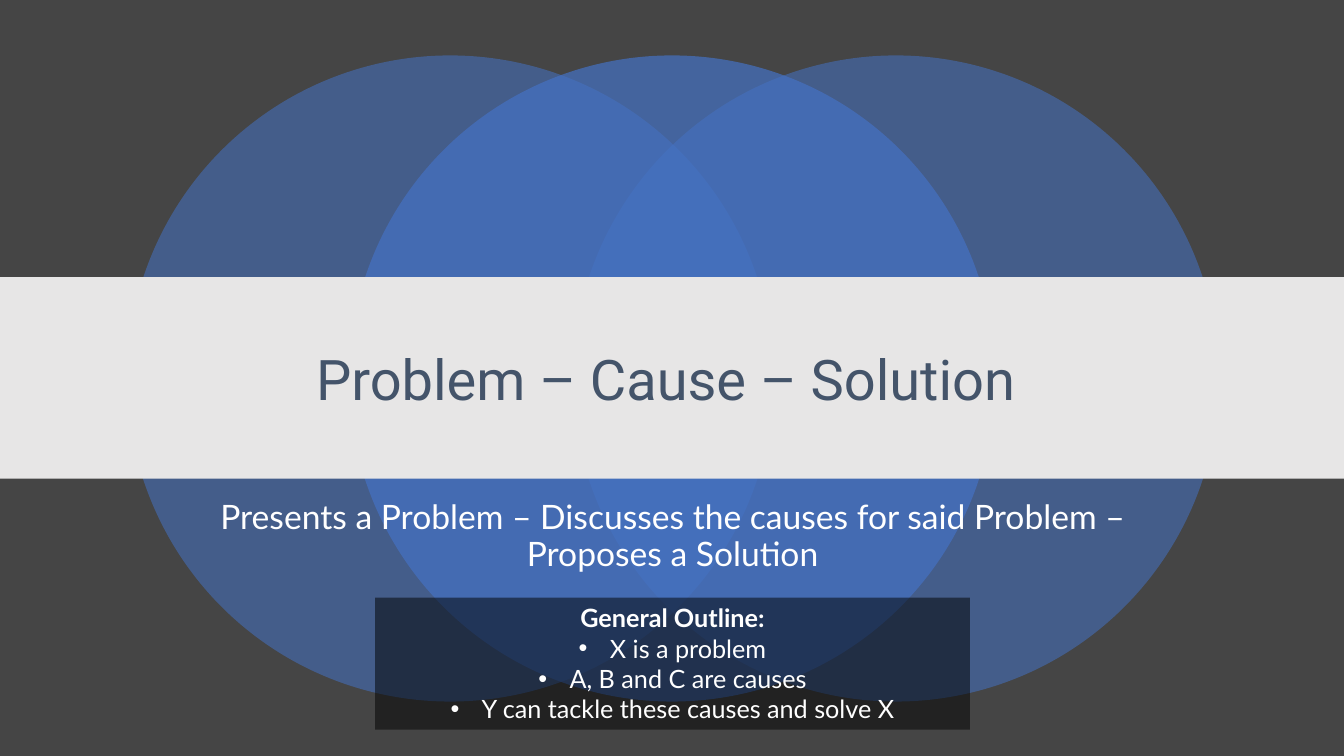
import pptx
import pptx.dml.color
import pptx.enum.shapes
import pptx.enum.text
import pptx.oxml
import pptx.oxml.ns
import pptx.util
from pptx.util import Inches

RGBColor = pptx.dml.color.RGBColor
MSO_SHAPE = pptx.enum.shapes.MSO_SHAPE
MSO_ANCHOR = pptx.enum.text.MSO_ANCHOR
PP_ALIGN = pptx.enum.text.PP_ALIGN

CHARCOAL = RGBColor(0x45, 0x45, 0x45)
BLUE = RGBColor(0x44, 0x72, 0xC4)
LIGHT_GRAY = RGBColor(0xE7, 0xE6, 0xE6)
SLATE = RGBColor(0x44, 0x54, 0x6A)
WHITE = RGBColor(0xFF, 0xFF, 0xFF)
BLACK = RGBColor(0x00, 0x00, 0x00)


def add_filled_shape(kind, left, top, width, height, color, opacity=100):
    shape = slide.shapes.add_shape(
        kind, Inches(left), Inches(top), Inches(width), Inches(height))
    shape.shadow.inherit = False
    shape.fill.solid()
    shape.fill.fore_color.rgb = color
    shape.line.fill.background()
    if opacity < 100:
        color_element = shape.fill._xPr.find(".//" + pptx.oxml.ns.qn("a:srgbClr"))
        alpha = pptx.oxml.parse_xml(
            f'<a:alpha {pptx.oxml.ns.nsdecls("a")} val="{opacity * 1000}"/>')
        color_element.append(alpha)
    return shape


def add_centered_run(paragraph, text, font, size, color, bold=False):
    paragraph.alignment = PP_ALIGN.CENTER
    run = paragraph.add_run()
    run.text = text
    run.font.name = font
    run.font.size = pptx.util.Pt(size)
    run.font.color.rgb = color
    run.font.bold = bold


presentation = pptx.Presentation()
presentation.slide_width = Inches(13.33)
presentation.slide_height = Inches(7.5)
slide = presentation.slides.add_slide(presentation.slide_layouts[6])
slide.background.fill.solid()
slide.background.fill.fore_color.rgb = CHARCOAL

for left, opacity in [(1.26, 55), (5.68, 55), (3.46, 70)]:
    add_filled_shape(MSO_SHAPE.OVAL, left, 0.55, 6.41, 6.41, BLUE, opacity)

add_filled_shape(MSO_SHAPE.RECTANGLE, 0, 2.75, 13.33, 2, LIGHT_GRAY)

headings = [
    (3.04, 1.51, MSO_ANCHOR.MIDDLE, 0,
     "Problem – Cause – Solution ", "Roboto", 40, SLATE),
    (4.92, 0.83, MSO_ANCHOR.TOP, 10,
     "Presents a Problem – Discusses the causes for said Problem – Proposes a Solution",
     "Lato", 24, WHITE),
]
for top, height, anchor, space_before, text, font, size, color in headings:
    text_box = slide.shapes.add_textbox(
        Inches(1.67), Inches(top), Inches(10), Inches(height))
    text_frame = text_box.text_frame
    text_frame.word_wrap = True
    text_frame.vertical_anchor = anchor
    paragraph = text_frame.paragraphs[0]
    paragraph.line_spacing = 0.9
    paragraph.space_before = pptx.util.Pt(space_before)
    add_centered_run(paragraph, text, font, size, color)

outline = add_filled_shape(MSO_SHAPE.RECTANGLE, 3.72, 5.93, 5.9, 1.31, BLACK, 50)
outline_frame = outline.text_frame
outline_frame.word_wrap = True
outline_frame.vertical_anchor = MSO_ANCHOR.TOP
outline_frame.auto_size = pptx.enum.text.MSO_AUTO_SIZE.SHAPE_TO_FIT_TEXT
add_centered_run(
    outline_frame.paragraphs[0], "General Outline:", "Lato", 18, WHITE, bold=True)

for point in ["X is a problem", "A, B and C are causes",
              "Y can tackle these causes and solve X"]:
    paragraph = outline_frame.add_paragraph()
    add_centered_run(paragraph, point, "Lato", 18, WHITE)
    properties = paragraph._p.get_or_add_pPr()
    properties.set("marL", str(Inches(0.31)))
    properties.set("indent", str(Inches(-0.31)))
    for bullet in ['buFont typeface="Arial"', 'buChar char="•"']:
        properties.append(pptx.oxml.parse_xml(
            f'<a:{bullet} {pptx.oxml.ns.nsdecls("a")}/>'))

presentation.save("out.pptx")
